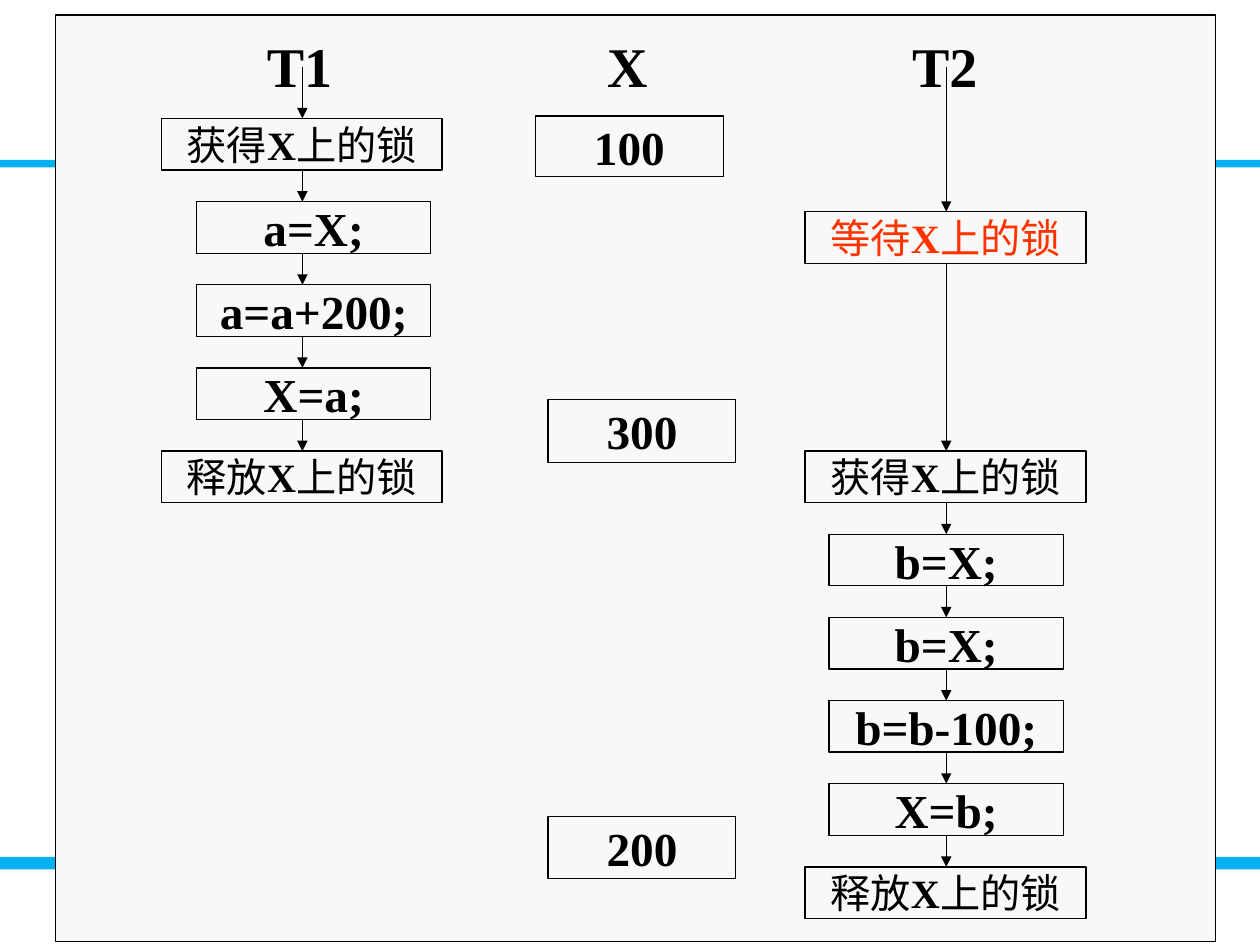
from lxml import etree
from pptx import Presentation
from pptx import util as u
from pptx.dml.color import RGBColor
from pptx.enum import shapes, text
from pptx.oxml.ns import qn

Inches = u.Inches
BOX_HEIGHT, FIRST_TOP, PITCH = 0.41, 0.94, 0.66

deck = Presentation()
deck.slide_width, deck.slide_height = Inches(10), Inches(7.5)
page = deck.slides.add_slide(deck.slide_layouts[6])


def add_rect(left, top, width, height, fill="F8F8F8", line="000000"):
    box = page.shapes.add_shape(shapes.MSO_SHAPE.RECTANGLE, Inches(left),
                                Inches(top), Inches(width), Inches(height))
    box.shadow.inherit = False
    box.fill.solid()
    box.fill.fore_color.rgb = RGBColor.from_string(fill)
    if line:
        box.line.color.rgb = RGBColor.from_string(line)
        box.line.width = u.Pt(0.75)
    else:
        box.line.fill.background()
    return box


def write(box, words, size=27, color="000000", align=text.PP_ALIGN.CENTER,
          anchor=text.MSO_ANCHOR.MIDDLE):
    """Write (words, bold) spans into one paragraph."""
    box.text_frame.word_wrap = False
    box.text_frame.vertical_anchor = anchor
    para = box.text_frame.paragraphs[0]
    para.alignment = align
    for part, bold in words:
        span = para.add_run()
        span.text = part
        span.font.name = "Times New Roman"
        span.font.size = u.Pt(size)
        span.font.bold = bold
        span.font.color.rgb = RGBColor.from_string(color)


# Blue bands and the panel over them
add_rect(0, 6.8, 10, 0.1, fill="00B0F0", line=None)
add_rect(0, 1.27, 10, 0.06, fill="00B0F0", line=None)
add_rect(0.44, 0.12, 9.21, 7.35)

# Column headings
for heading, left, width in [("T1", 2.02, 1.21), ("X", 4.72, 0.74), ("T2", 7.14, 1.12)]:
    box = page.shapes.add_textbox(Inches(left), Inches(0.2), Inches(width), Inches(0.64))
    write(box, [(heading, True)], size=32, align=text.PP_ALIGN.LEFT,
          anchor=text.MSO_ANCHOR.TOP)

# Values of X over time
for value, left, top, height in [("100", 4.25, 0.92, 0.48), ("300", 4.35, 3.17, 0.5),
                                 ("200", 4.35, 6.48, 0.49)]:
    write(add_rect(left, top, 1.49, height), [(value, True)])

# Steps of each transaction; the row counts down from the first step
wait_row = (1.68 - FIRST_TOP) / PITCH
transactions = [
    # lock box left, step box left, arrow x, steps
    (1.28, 1.56, 2.4, [(0, "获得"), (1, "a=X;"), (2, "a=a+200;"), (3, "X=a;"),
                       (4, "释放")]),
    (6.39, 6.58, 7.51, [(wait_row, "等待"), (4, "获得"), (5, "b=X;"), (6, "b=X;"),
                        (7, "b=b-100;"), (8, "X=b;"), (9, "释放")]),
]
for lock_left, step_left, arrow_x, steps in transactions:
    arrow_start = 0.53
    for row, label in steps:
        top = FIRST_TOP + row * PITCH
        if label.endswith(";"):
            write(add_rect(step_left, top, 1.86, BOX_HEIGHT), [(label, True)])
        else:
            write(add_rect(lock_left, top, 2.23, BOX_HEIGHT),
                  [(label, False), ("X", True), ("上的锁", False)], size=23,
                  color="FF3300" if label == "等待" else "000000")

        # Arrow from the step before
        arrow = page.shapes.add_connector(shapes.MSO_CONNECTOR.STRAIGHT, Inches(arrow_x),
                                          Inches(arrow_start), Inches(arrow_x), Inches(top))
        arrow.line.color.rgb = RGBColor.from_string("000000")
        arrow.line.width = u.Pt(0.75)
        etree.SubElement(arrow.line._get_or_add_ln(), qn("a:tailEnd"), type="triangle")
        etree.SubElement(arrow._element.spPr, qn("a:effectLst"))
        arrow_start = top + BOX_HEIGHT

deck.save("out.pptx")
